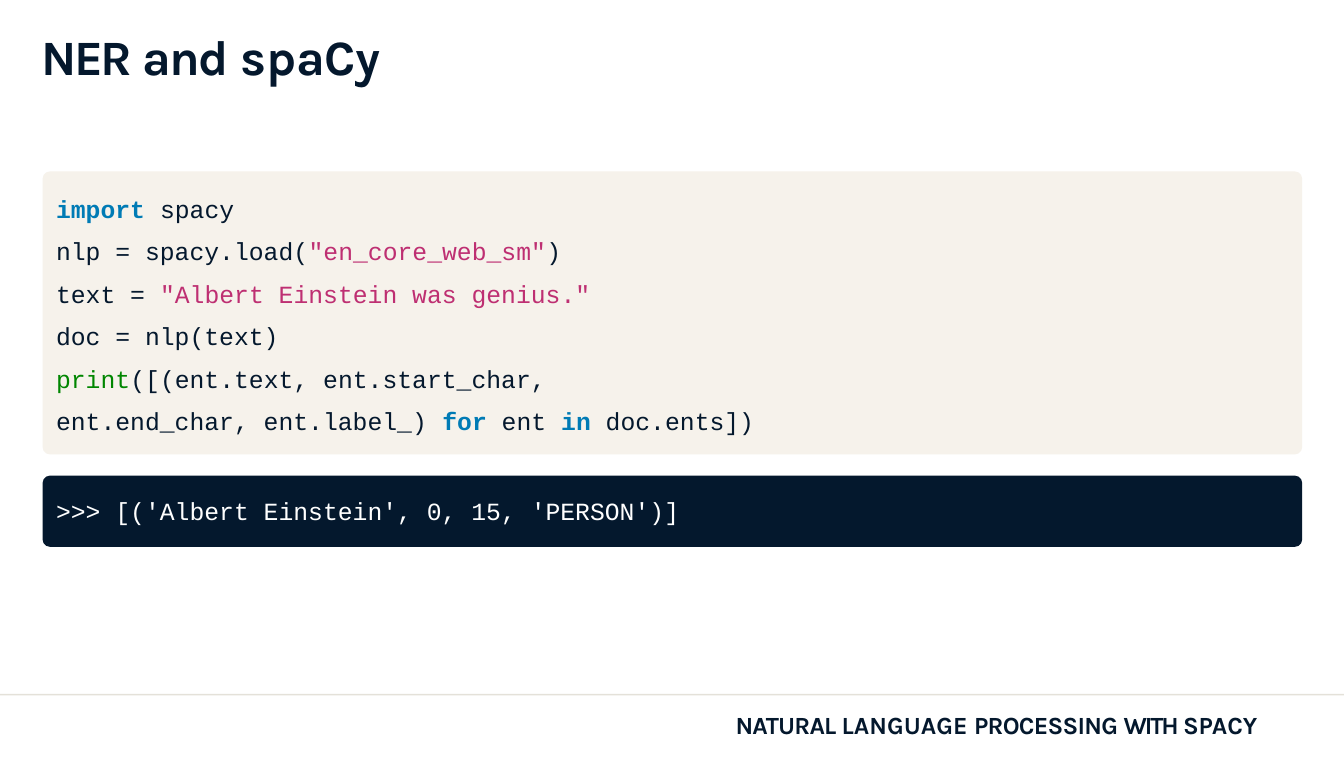
from pptx import Presentation
from pptx.dml.color import RGBColor
from pptx.enum.shapes import MSO_SHAPE
from pptx.util import Inches, Pt

RECTANGLE = MSO_SHAPE.RECTANGLE
ROUNDED = MSO_SHAPE.ROUNDED_RECTANGLE

COLORS = {
    "ink": "04182D",
    "paper": "F6F2EB",
    "rule": "E4E1D9",
    "keyword": "007BB5",
    "string": "BE2F72",
    "builtin": "008600",
    "white": "FFFFFF",
}

# Headings: (text, letter spacing in points)
TITLE = [("NER ", -2.4), ("and ", -1.5), ("spaCy", -0.1)]
FOOTER = [("NATURAL ", -0.8), ("LANGUAGE ", 0), ("PROCESSING ", -0.7),
          ("WITH ", -1.9), ("SPACY", -0.1)]

# Code lines: (text, color)
CODE = [
    [("import", "keyword"), (" spacy", "ink")],
    [("nlp = spacy.load(", "ink"), ('"en_core_web_sm"', "string"), (")", "ink")],
    [("text = ", "ink"), ('"Albert Einstein was genius."', "string")],
    [("doc = nlp(text)", "ink")],
    [("print", "builtin"), ("([(ent.text, ent.start_char,", "ink")],
    [("ent.end_char, ent.label_) ", "ink"), ("for", "keyword"), (" ent ", "ink"),
     ("in", "keyword"), (" doc.ents])", "ink")],
]
OUTPUT = [[(">>> [('Albert Einstein', 0, 15, 'PERSON')]", "white")]]

SLIDE_WIDTH, SLIDE_HEIGHT = 17.01, 9.58
PANEL_LEFT, PANEL_WIDTH = 0.54, 15.94
CORNER = 0.09
CODE_LEFT, CODE_WIDTH = 0.71, 15.5
CODE_SIZE, CODE_PITCH = 22.5, 38.7


def rgb(color):
    return RGBColor.from_string(COLORS[color])


def add_block(slide, kind, left, top, width, height, color):
    block = slide.shapes.add_shape(
        kind, Inches(left), Inches(top), Inches(width), Inches(height))
    block.shadow.inherit = False
    block.fill.solid()
    block.fill.fore_color.rgb = rgb(color)
    block.line.fill.background()
    return block


def add_panel(slide, top, height, color):
    panel = add_block(slide, ROUNDED, PANEL_LEFT, top, PANEL_WIDTH, height, color)
    panel.adjustments[0] = CORNER / height


def add_frame(slide, left, top, width, height):
    """Add a text box without margins and return its text frame."""
    frame = slide.shapes.add_textbox(
        Inches(left), Inches(top), Inches(width), Inches(height)).text_frame
    frame.word_wrap = True
    frame.margin_left = frame.margin_right = 0
    frame.margin_top = frame.margin_bottom = 0
    return frame


def add_heading(slide, left, top, width, height, size, words):
    heading = add_frame(slide, left, top, width, height).paragraphs[0]
    heading.font.name = "Karla"
    heading.font.size = Pt(size)
    heading.font.bold = True
    heading.font.color.rgb = rgb("ink")
    for word, spacing in words:
        run = heading.add_run()
        run.text = word
        run.font._element.set("spc", str(round(spacing * 100)))


def add_code(slide, top, height, lines, pitch=None):
    """Write colored code lines, with a fixed pitch in points if given."""
    frame = add_frame(slide, CODE_LEFT, top, CODE_WIDTH, height)
    for number, tokens in enumerate(lines):
        line = frame.add_paragraph() if number else frame.paragraphs[0]
        line.font.name = "Courier New"
        line.font.size = Pt(CODE_SIZE)
        if pitch:
            line.line_spacing = Pt(pitch)
        for token, color in tokens:
            run = line.add_run()
            run.text = token
            run.font.color.rgb = rgb(color)
            if color == "keyword":
                run.font.bold = True


def main():
    deck = Presentation()
    deck.slide_width = Inches(SLIDE_WIDTH)
    deck.slide_height = Inches(SLIDE_HEIGHT)
    slide = deck.slides.add_slide(deck.slide_layouts[6])

    add_block(slide, RECTANGLE, 0, 8.78, SLIDE_WIDTH, 0.02, "rule")
    add_heading(slide, 0.53, 0.33, 10.26, 0.76, 45, TITLE)
    add_panel(slide, 2.17, 3.58, "paper")
    add_code(slide, 2.29, 3.23, CODE, CODE_PITCH)
    add_panel(slide, 6.02, 0.9, "ink")
    add_code(slide, 6.28, 0.37, OUTPUT)
    add_heading(slide, 9.31, 8.98, 7.37, 0.41, 22.5, FOOTER)
    deck.save("out.pptx")


if __name__ == "__main__":
    main()
